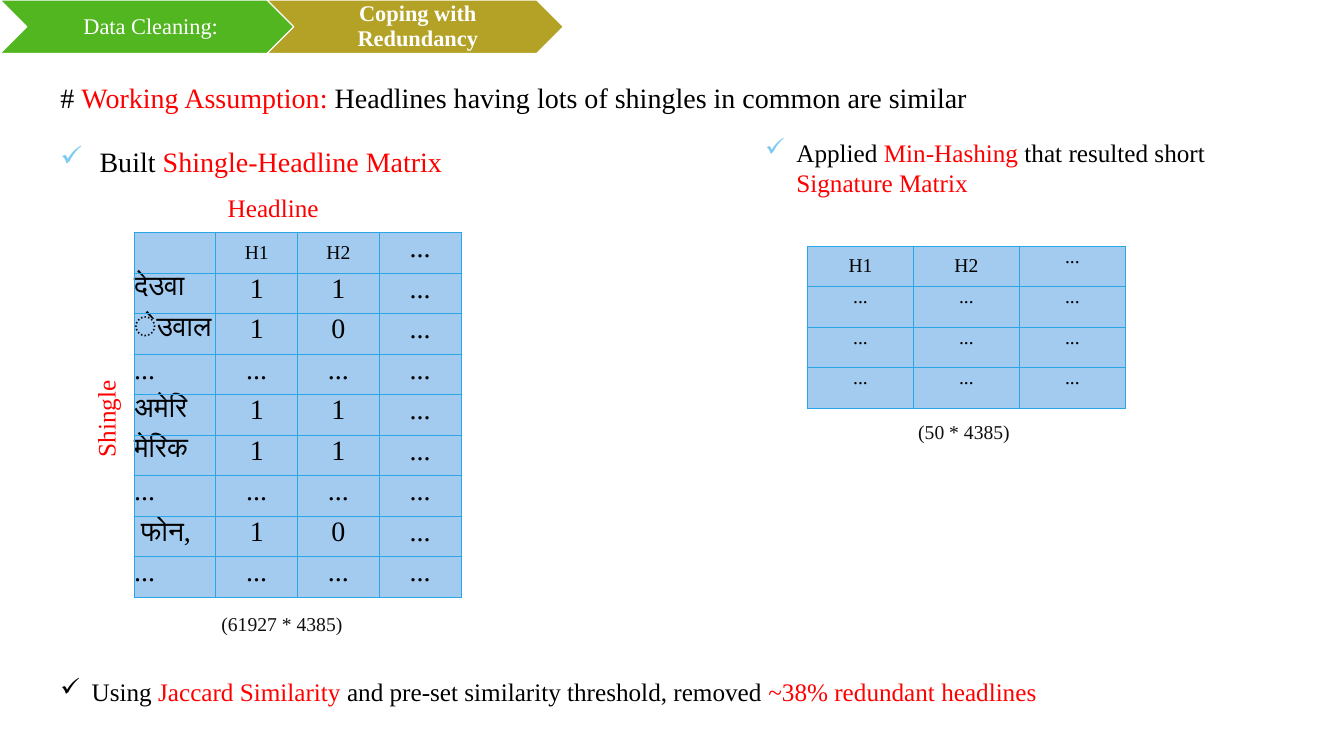
"""Build the slide on shingle matrices and redundant headlines."""
from dataclasses import dataclass

from lxml.etree import SubElement
from pptx import Presentation
from pptx.dml.color import RGBColor
from pptx.enum.shapes import MSO_SHAPE as Shape
from pptx.enum.text import MSO_ANCHOR as Anchor, MSO_AUTO_SIZE as Fit, PP_ALIGN as Align
from pptx.oxml.ns import qn
from pptx.util import Cm, Pt

FONT = "Times New Roman"
BLACK, RED, WHITE, SKY = "000000", "FF0000", "FFFFFF", "7FCAF0"
CELL, EDGE = "A3CBEF", "2AA6E6"
ROW = 1.02
STEP = 6.73


@dataclass
class Note:
    """Hold one text box; pieces after every second bar are red."""
    text: str
    box: tuple
    size: int = 18
    color: str = BLACK
    mark: str = ""
    hang: float = 0.79
    turn: int = 0
    inset: tuple = (0, 0)
    line: float = 1.0
    before: int = 0


@dataclass
class Grid:
    """Hold one matrix with equal columns and rows."""
    rows: list
    left: float
    top: float
    width: float
    size: int
    named: bool = False


@dataclass
class Step:
    """Hold one chevron of the trail."""
    text: str
    color: str
    bold: bool


HEAD = Note("# |Working Assumption: |Headlines having lots of shingles in common are similar",
            (1.52, 2.03, 31.93, 1.42), 20)
PAD = (0.25, 0.13)
NOTES = [
    Note("Built |Shingle-Headline Matrix", (1.52, 3.43, 17.93, 1.35), 20,
         mark=SKY, hang=0.99, line=1.25, before=10),
    Note("Applied |Min-Hashing| that resulted short |Signature Matrix",
         (19.28, 3.45, 12.67, 1.8), mark=SKY),
    Note("Using |Jaccard Similarity| and pre-set similarity threshold, removed "
         "|~38% redundant headlines", (1.52, 17.04, 32.21, 1.35), mark=BLACK),
    Note("|Headline", (5.49, 4.72, 4.04, 1.02), inset=PAD),
    Note("|Shingle", (0.89, 9.47, 3.56, 1.04), turn=270, inset=PAD),
    Note("(61927 * 4385)", (5.33, 15.29, 4.19, 0.86), 14, "0F0F0F", inset=PAD),
    Note("(50 * 4385)", (22.89, 10.44, 4.19, 0.86), 14, "0F0F0F", inset=PAD),
]
GAP = "..."
GRIDS = [
    Grid([["", "H1", "H2", GAP],
          ["देउवा", "1", "1", GAP],
          ["ेउवाल", "1", "0", GAP],
          [GAP] * 4,
          ["अमेरि", "1", "1", GAP],
          ["मेरिक", "1", "1", GAP],
          [GAP] * 4,
          [" फोन,", "1", "0", GAP],
          [GAP] * 4], 3.38, 5.87, 2.06, 20, True),
    Grid([["H1", "H2", GAP]] + [[GAP] * 3] * 3, 20.35, 6.2, 2.67, 14),
]
STEPS = [Step("Data Cleaning:", "52B621", False),
         Step("Coping with Redundancy", "B3A225", True)]


def apply(item, values: dict) -> None:
    for name, value in values.items():
        setattr(item, name, value)


def tint(color, code: str) -> None:
    color.rgb = RGBColor.from_string(code)


def paint(fill, code: str) -> None:
    fill.solid()
    tint(fill.fore_color, code)


def write(para, text: str, size: int, color: str, bold: bool = False) -> None:
    run = para.add_run()
    run.text = text
    apply(run.font, {"name": FONT, "size": Pt(size), "bold": bold})
    tint(run.font.color, color)


def bullet(para, note: Note) -> None:
    props = para._p.get_or_add_pPr()
    hang = Cm(note.hang)
    props.set("marL", str(hang))
    props.set("indent", str(-hang))
    SubElement(SubElement(props, qn("a:buClr")), qn("a:srgbClr"), val=note.mark)
    SubElement(props, qn("a:buChar"), char="✓")


def fill_note(shape, note: Note) -> None:
    left, top, width, height = map(Cm, note.box)
    apply(shape, {"left": left, "top": top, "width": width,
                  "height": height, "rotation": note.turn})
    frame = shape.text_frame
    side, edge = map(Cm, note.inset)
    apply(frame, {"word_wrap": True, "auto_size": Fit.NONE, "vertical_anchor": Anchor.TOP,
                  "margin_left": side, "margin_right": side,
                  "margin_top": edge, "margin_bottom": edge})
    para = frame.paragraphs[0]
    apply(para, {"alignment": Align.LEFT, "line_spacing": note.line,
                 "space_before": Pt(note.before)})
    if note.mark:
        bullet(para, note)
    for rank, piece in enumerate(note.text.split("|")):
        if piece:
            write(para, piece, note.size, RED if rank % 2 else note.color)


def border(cell) -> None:
    props = cell._tc.get_or_add_tcPr()
    for side in ("a:lnL", "a:lnR", "a:lnT", "a:lnB"):
        line = SubElement(props, qn(side), w=str(Pt(0.75)))
        SubElement(SubElement(line, qn("a:solidFill")), qn("a:srgbClr"), val=EDGE)


def draw_grid(shapes, grid: Grid) -> None:
    high, wide = len(grid.rows), len(grid.rows[0])
    table = shapes.add_table(high, wide, Cm(grid.left), Cm(grid.top),
                             Cm(grid.width * wide), Cm(ROW * high)).table
    for column in table.columns:
        column.width = Cm(grid.width)
    for down, row in enumerate(grid.rows):
        table.rows[down].height = Cm(ROW)
        for over, text in enumerate(row):
            cell = table.cell(down, over)
            label = text.startswith("H")
            apply(cell, {"margin_left": 0, "margin_right": 0, "margin_top": 0,
                         "margin_bottom": 0,
                         "vertical_anchor": Anchor.MIDDLE if label else Anchor.TOP})
            border(cell)
            paint(cell.fill, CELL)
            para = cell.text_frame.paragraphs[0]
            para.alignment = Align.LEFT if grid.named and over == 0 else Align.CENTER
            if text:
                write(para, text, 14 if label else grid.size, BLACK)


def draw_step(shapes, step: Step, rank: int) -> None:
    shape = shapes.add_shape(Shape.CHEVRON, Cm(STEP * rank), 0, Cm(7.47), Cm(1.35))
    shape.shadow.inherit = False
    paint(shape.fill, step.color)
    tint(shape.line.color, WHITE)
    shape.line.width = Pt(0.85)
    frame = shape.text_frame
    apply(frame, {"word_wrap": True, "vertical_anchor": Anchor.MIDDLE,
                  "margin_left": Cm(0.18), "margin_right": Cm(0.05),
                  "margin_top": Cm(0.05), "margin_bottom": Cm(0.05)})
    para = frame.paragraphs[0]
    apply(para, {"alignment": Align.CENTER, "line_spacing": 0.9})
    write(para, step.text, 16, WHITE, step.bold)


def main() -> None:
    deck = Presentation()
    apply(deck, {"slide_width": Cm(33.87), "slide_height": Cm(19.05)})
    shapes = deck.slides.add_slide(deck.slide_layouts[5]).shapes
    fill_note(shapes.title, HEAD)
    for note in NOTES:
        fill_note(shapes.add_textbox(0, 0, 0, 0), note)
    for grid in GRIDS:
        draw_grid(shapes, grid)
    for rank, step in enumerate(STEPS):
        draw_step(shapes, step, rank)
    deck.save("out.pptx")


if __name__ == "__main__":
    main()
